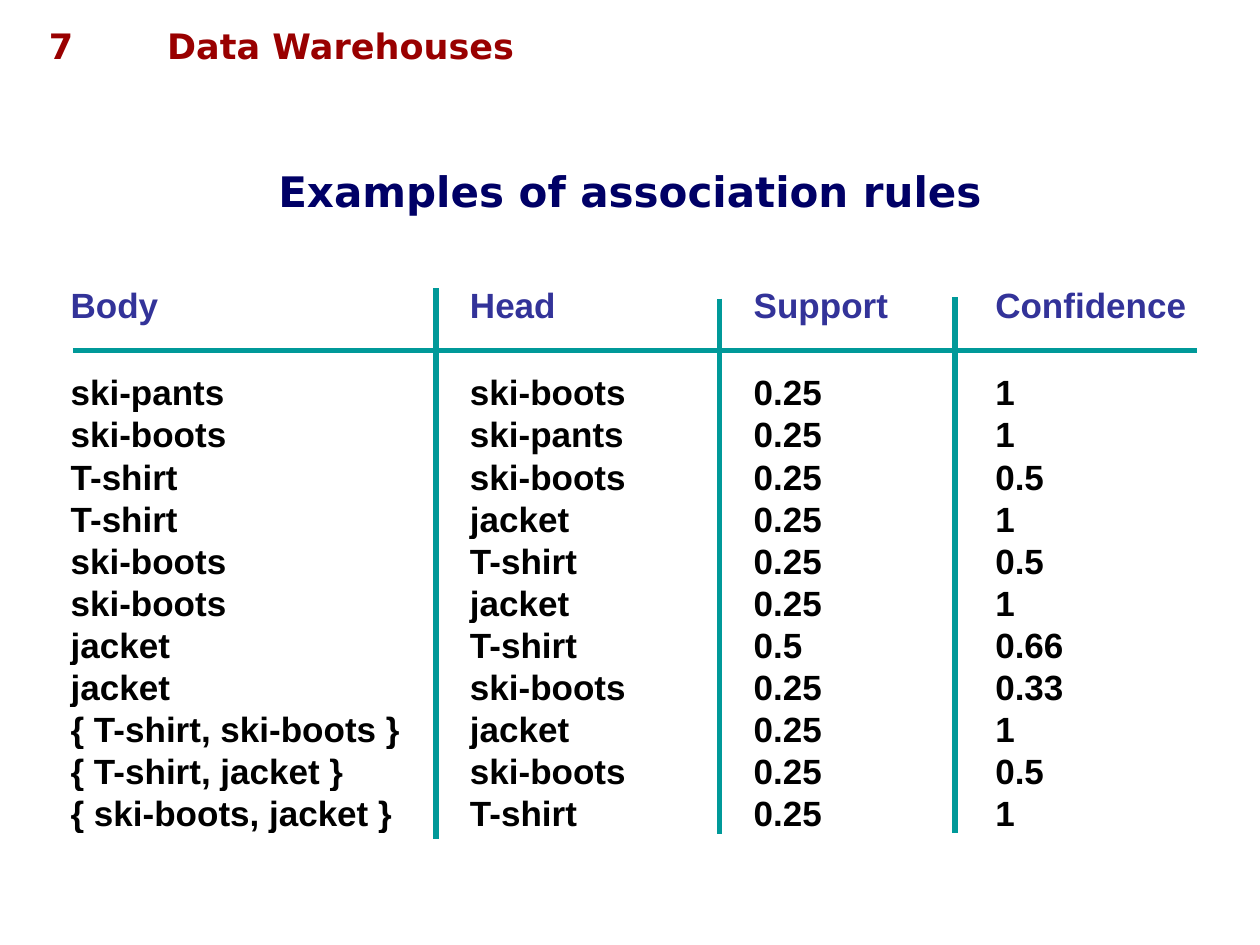
from lxml import etree
from pptx import Presentation
from pptx import util as u
from pptx.dml.color import RGBColor
from pptx.enum import shapes, text
from pptx.oxml.ns import qn

COLORS = {"running": "990000", "title": "000066", "header": "333399",
          "body": "000000", "rule": "009999"}
FONTS = {
    "running": {"name": "DejaVu Sans", "size": u.Pt(20), "bold": True},
    "title": {"name": "DejaVu Sans", "size": u.Pt(24), "bold": True},
    "header": {"name": "Arial", "size": u.Pt(20), "bold": True},
    "body": {"name": "Arial", "size": u.Pt(20), "bold": True},
}
RULES = [
    ("Body", "Head", "Support", "Confidence"),
    ("ski-pants", "ski-boots", "0.25", "1"),
    ("ski-boots", "ski-pants", "0.25", "1"),
    ("T-shirt", "ski-boots", "0.25", "0.5"),
    ("T-shirt", "jacket", "0.25", "1"),
    ("ski-boots", "T-shirt", "0.25", "0.5"),
    ("ski-boots", "jacket", "0.25", "1"),
    ("jacket", "T-shirt", "0.5", "0.66"),
    ("jacket", "ski-boots", "0.25", "0.33"),
    ("{ T-shirt, ski-boots }", "jacket", "0.25", "1"),
    ("{ T-shirt, jacket }", "ski-boots", "0.25", "0.5"),
    ("{ ski-boots, jacket }", "T-shirt", "0.25", "1"),
]
COLUMN_WIDTHS = (8.05, 5.72, 4.87, 4.88)
DIVIDERS = ((7.62, 0.02, 11.13), (13.33, 0.23, 11.02), (18.08, 0.2, 11))


def apply(target, values):
    """Set every attribute in values on target."""
    for attribute, value in values.items():
        setattr(target, attribute, value)


def write(frame, words, role, align=text.PP_ALIGN.LEFT):
    """Put one paragraph in the frame, formatted for its role."""
    frame.text = words
    paragraph = frame.paragraphs[0]
    paragraph.alignment = align
    apply(paragraph.font, FONTS[role])
    paragraph.font.color.rgb = RGBColor.from_string(COLORS[role])


def add_running_head(slide, left, top, height, number, chapter):
    """Place the slide number and the chapter name side by side."""
    parts = ((number, 0, 1.8, text.PP_ALIGN.CENTER),
             (chapter, 2.79, 21.62, text.PP_ALIGN.LEFT))
    for words, offset, width, align in parts:
        label = slide.shapes.add_textbox(
            u.Cm(left + offset), u.Cm(top), u.Cm(width), u.Cm(height))
        label.text_frame.word_wrap = True
        write(label.text_frame, words, "running", align)


def set_title(slide, left, top, width, height, words):
    """Move and format the title placeholder."""
    title = slide.shapes.title
    apply(title, {"left": u.Cm(left), "top": u.Cm(top),
                  "width": u.Cm(width), "height": u.Cm(height)})
    write(title.text_frame, words, "title", text.PP_ALIGN.CENTER)
    title.text_frame.vertical_anchor = text.MSO_ANCHOR.MIDDLE


def add_rule(slide, x1, y1, x2, y2):
    """Draw one straight rule."""
    rule = slide.shapes.add_connector(
        shapes.MSO_CONNECTOR.STRAIGHT, u.Cm(x1), u.Cm(y1), u.Cm(x2), u.Cm(y2))
    rule.line.width = u.Pt(3)
    rule.line.color.rgb = RGBColor.from_string(COLORS["rule"])
    etree.SubElement(rule._element.spPr, qn("a:effectLst"))


def add_rules_table(slide, left, top, height, header_height):
    """Place the association rules and the lines that divide them."""
    width = sum(COLUMN_WIDTHS)
    table = slide.shapes.add_table(
        len(RULES), len(COLUMN_WIDTHS), u.Cm(left), u.Cm(top),
        u.Cm(width), u.Cm(height)).table
    apply(table, {"first_row": False, "horz_banding": False})
    for column, column_width in zip(table.columns, COLUMN_WIDTHS):
        column.width = u.Cm(column_width)
    row_height = (height - 2 * header_height) / (len(RULES) - 2)
    for index, entries in enumerate(RULES):
        table.rows[index].height = u.Cm(header_height if index < 2 else row_height)
        role = "body" if index else "header"
        anchor = text.MSO_ANCHOR.BOTTOM if index else text.MSO_ANCHOR.TOP
        for cell, words in zip(table.rows[index].cells, entries):
            cell.fill.background()
            apply(cell, {"margin_top": 0, "margin_bottom": 0,
                         "vertical_anchor": anchor})
            write(cell.text_frame, words, role)
    for x, start, end in DIVIDERS:
        add_rule(slide, left + x, top + start, left + x, top + end)
    middle = top + header_height
    add_rule(slide, left + 0.3, middle, left + width - 0.56, middle)


def main():
    """Build and save the slide."""
    deck = Presentation()
    apply(deck, {"slide_width": u.Cm(25.4), "slide_height": u.Cm(19.05)})
    slide = deck.slides.add_slide(deck.slide_layouts[5])
    add_running_head(slide, 0.33, 0.36, 1.12, "7", "Data Warehouses")
    set_title(slide, 0, 3.15, 25.4, 1.37, "Examples of association rules")
    add_rules_table(slide, 1.17, 5.79, 11.01, 1.27)
    deck.save("out.pptx")


if __name__ == "__main__":
    main()
